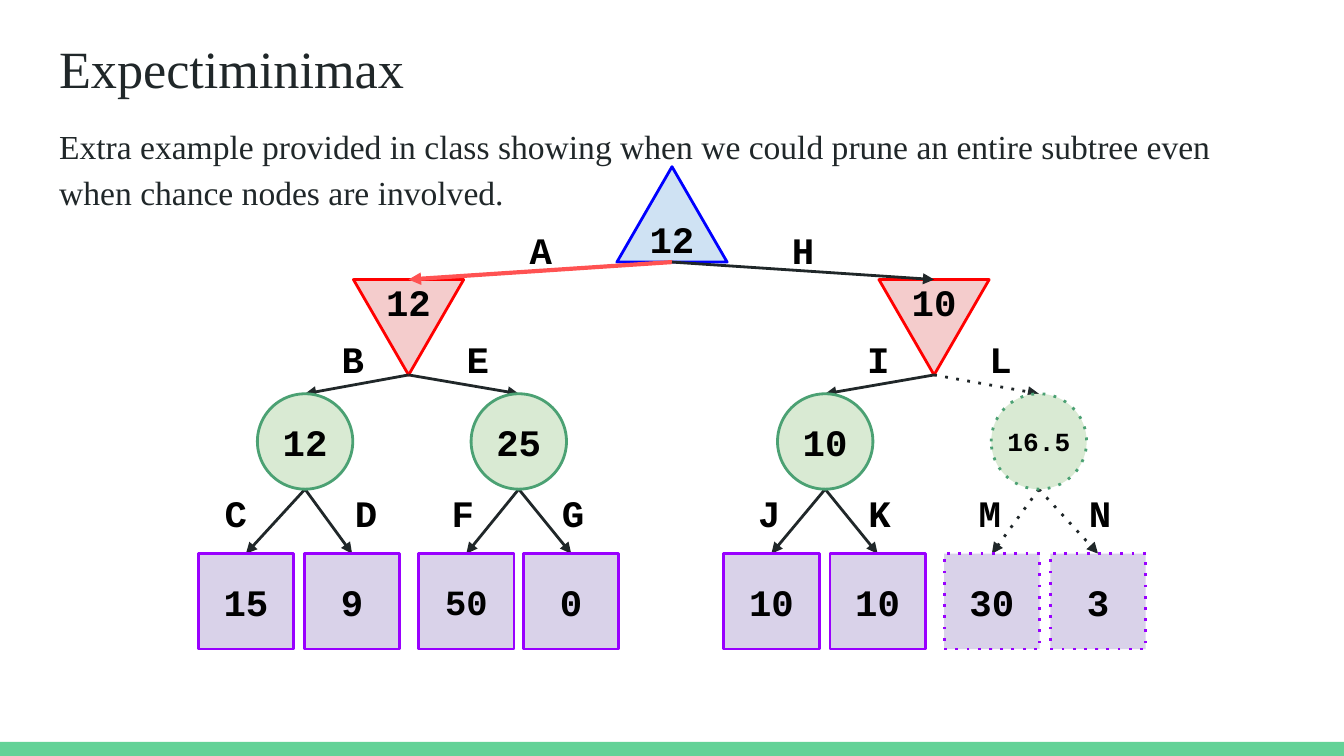
import dataclasses

import pptx
import pptx.dml.color
import pptx.enum.shapes
import pptx.enum.text
import pptx.oxml.ns
import pptx.util
from lxml import etree

Inches = pptx.util.Inches
Pt = pptx.util.Pt
SHAPES = pptx.enum.shapes.MSO_SHAPE
ALIGN = pptx.enum.text.PP_ALIGN
ANCHOR = pptx.enum.text.MSO_ANCHOR
qn = pptx.oxml.ns.qn

SERIF = "Times New Roman"
MONO = "Courier New"
INK = "202729"
CHOSEN = "FF5252"


@dataclasses.dataclass(frozen=True)
class Level:
    """The look shared by all nodes at one depth of the tree."""
    preset: int
    top: float
    width: float
    fill: str
    outline: str
    label_top: float = 0
    rotation: int = 0
    height: float = 0.71


@dataclasses.dataclass(frozen=True)
class Node:
    """A node with its centre and the label of the edge leading to it."""
    depth: int
    value: str
    center: float
    label: str = ""
    label_center: float = 0
    dotted: bool = False
    size: int = 20
    edge_color: str = INK
    edge_width: float = 1.5


LEVELS = [
    Level(SHAPES.ISOSCELES_TRIANGLE, 1.24, 0.82, "CFE2F3", "0000FF"),
    Level(SHAPES.ISOSCELES_TRIANGLE, 2.08, 0.82, "F4CCCC", "FF0000", 1.59, 180),
    Level(SHAPES.OVAL, 2.93, 0.71, "D9EAD3", "4BA173", 2.4),
    Level(SHAPES.RECTANGLE, 4.12, 0.71, "D9D2E9", "9900FF", 3.55),
]

# Depth-first order: the parent is the latest node one level up.
NODES = [
    Node(0, "12", 5),
    Node(1, "12", 3.04, "A", 4.02, edge_color=CHOSEN, edge_width=2.25),
    Node(2, "12", 2.27, "B", 2.62),
    Node(3, "15", 1.83, "C", 1.75),
    Node(3, "9", 2.62, "D", 2.72),
    Node(2, "25", 3.86, "E", 3.55),
    Node(3, "50", 3.47, "F", 3.44, size=19),
    Node(3, "0", 4.25, "G", 4.26),
    Node(1, "10", 6.95, "H", 5.97),
    Node(2, "10", 6.14, "I", 6.53),
    Node(3, "10", 5.74, "J", 5.72),
    Node(3, "10", 6.53, "K", 6.54),
    Node(2, "16.5", 7.73, "L", 7.44, dotted=True, size=14),
    Node(3, "30", 7.38, "M", 7.36, dotted=True),
    Node(3, "3", 8.17, "N", 8.18, dotted=True),
]


def rgb(color: str):
    return pptx.dml.color.RGBColor.from_string(color)


def write(frame, text: str, *, size=20, font=MONO, color="000000", bold=True,
          align=ALIGN.CENTER, anchor=ANCHOR.TOP, inset=0.0, spacing=1.0) -> None:
    frame.word_wrap = True
    frame.auto_size = pptx.enum.text.MSO_AUTO_SIZE.NONE
    frame.vertical_anchor = anchor
    frame.margin_left = frame.margin_right = Inches(inset)
    frame.margin_top = frame.margin_bottom = Inches(inset)
    paragraph = frame.paragraphs[0]
    paragraph.alignment = align
    paragraph.line_spacing = spacing
    paragraph.space_before = Pt(0)
    run = paragraph.add_run()
    run.text = text
    run.font.size = Pt(size)
    run.font.name = font
    run.font.bold = bold
    run.font.color.rgb = rgb(color)


def add_text(slide, left: float, top: float, width: float, height: float,
             text: str, **text_format) -> None:
    box = slide.shapes.add_textbox(
        Inches(left), Inches(top), Inches(width), Inches(height))
    write(box.text_frame, text, **text_format)


def style_line(shape, color: str, width: float, dotted: bool):
    """Format a line and return its XML element."""
    shape.line.color.rgb = rgb(color)
    shape.line.width = Pt(width)
    line = shape.element.spPr.find(qn("a:ln"))
    if dotted:
        etree.SubElement(line, qn("a:prstDash"), val="dot")
    return line


def add_node(slide, node: Node) -> None:
    level = LEVELS[node.depth]
    shape = slide.shapes.add_shape(
        level.preset, Inches(node.center - level.width / 2), Inches(level.top),
        Inches(level.width), Inches(level.height))
    shape.shadow.inherit = False
    shape.rotation = level.rotation
    shape.fill.solid()
    shape.fill.fore_color.rgb = rgb(level.fill)
    style_line(shape, level.outline, 1.5, node.dotted)
    if level.rotation:
        add_text(slide, node.center - 0.28, level.top, 0.56, 0.35, node.value)
    else:
        write(shape.text_frame, node.value, size=node.size, anchor=ANCHOR.MIDDLE)


def add_edge(slide, parent: Node, child: Node) -> None:
    start, end = LEVELS[parent.depth], LEVELS[child.depth]
    edge = slide.shapes.add_connector(
        pptx.enum.shapes.MSO_CONNECTOR.STRAIGHT,
        Inches(parent.center), Inches(start.top + start.height),
        Inches(child.center), Inches(end.top))
    line = style_line(edge, child.edge_color, child.edge_width, child.dotted)
    etree.SubElement(line, qn("a:tailEnd"), type="triangle")
    etree.SubElement(edge.element.spPr, qn("a:effectLst"))
    add_text(slide, child.label_center - 0.23, end.label_top, 0.47, 0.44,
             child.label, inset=0.1)


def place(shape, left: float, top: float, width: float, height: float) -> None:
    shape.left, shape.top = Inches(left), Inches(top)
    shape.width, shape.height = Inches(width), Inches(height)


def add_heading(slide) -> None:
    prose = dict(font=SERIF, color=INK, bold=False, align=ALIGN.LEFT, inset=0.1)
    title, body = slide.shapes.title, slide.placeholders[1]
    place(title, 0.34, 0.17, 9.32, 0.63)
    write(title.text_frame, "Expectiminimax", size=28, **prose)
    place(body, 0.34, 0.79, 9.32, 0.8)
    write(body.text_frame,
          "Extra example provided in class showing when we could prune an entire "
          "subtree even when chance nodes are involved.",
          size=18, spacing=1.15, **prose)
    properties = body.element.find(".//" + qn("a:pPr"))
    properties.set("marL", "0")
    properties.set("indent", "0")
    etree.SubElement(properties, qn("a:buNone"))


def add_tree(slide) -> None:
    for node in NODES:
        if node.depth < 2:
            add_node(slide, node)
    latest = {}
    for node in NODES:
        latest[node.depth] = node
        if node.depth > 0:
            add_edge(slide, latest[node.depth - 1], node)
    for node in NODES:
        if node.depth >= 2:
            add_node(slide, node)


def main() -> None:
    presentation = pptx.Presentation()
    presentation.slide_width = Inches(10)
    presentation.slide_height = Inches(10 * 9 / 16)
    slide = presentation.slides.add_slide(presentation.slide_layouts[1])
    bar = slide.shapes.add_shape(
        SHAPES.RECTANGLE, 0, Inches(5.52), Inches(10), Inches(0.11))
    bar.shadow.inherit = False
    bar.fill.solid()
    bar.fill.fore_color.rgb = rgb("63D297")
    bar.line.fill.background()
    add_heading(slide)
    add_tree(slide)
    presentation.save("out.pptx")


if __name__ == "__main__":
    main()
